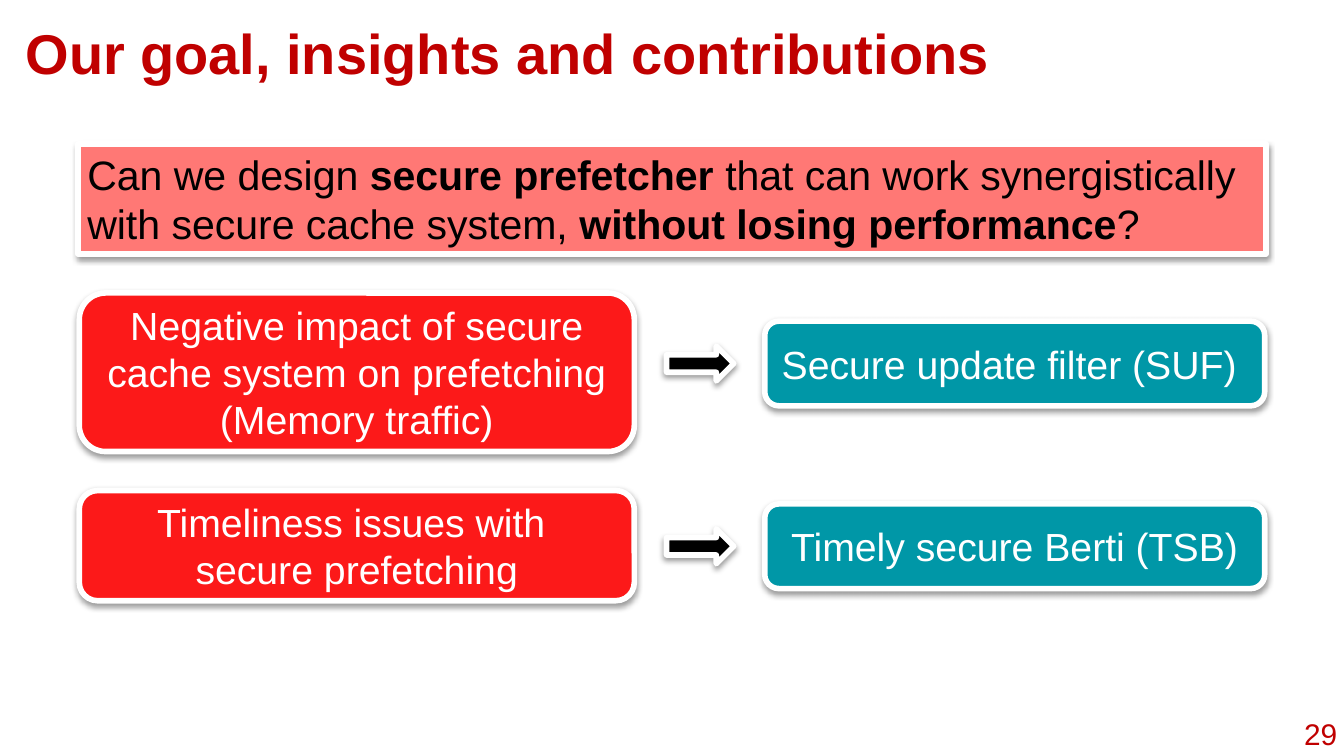
"""Build the slide on the goal, insights and contributions of secure prefetching."""
from pptx import Presentation
from pptx.dml.color import RGBColor
from pptx.enum.shapes import MSO_SHAPE as Shape
from pptx.enum.text import MSO_ANCHOR as Anchor, MSO_AUTO_SIZE as AutoSize, PP_ALIGN as Align
from pptx.oxml import parse_xml
from pptx.oxml.ns import nsdecls
from pptx.util import Inches, Pt

DARK_RED = RGBColor(0xC0, 0x00, 0x00)
RED = RGBColor(0xFC, 0x19, 0x19)
PINK = RGBColor(0xFF, 0x78, 0x75)
TEAL = RGBColor(0x00, 0x97, 0xA7)
BLACK = RGBColor(0x00, 0x00, 0x00)
WHITE = RGBColor(0xFF, 0xFF, 0xFF)

TITLE = "Our goal, insights and contributions"
PAGE_NUMBER = "29"
QUESTION = [
    ("Can we design ", False),
    ("secure prefetcher", True),
    (" that can work synergistically with secure cache system, ", False),
    ("without losing performance", True),
    ("?", False),
]
ROWS = [
    {
        "top": 2.18,
        "height": 1.18,
        "insight": "Negative impact of secure cache system on prefetching\n(Memory traffic)",
        "answer_top": 2.39,
        "answer": "Secure update filter (SUF) ",
    },
    {
        "top": 3.65,
        "height": 0.82,
        "insight": "Timeliness issues with \nsecure prefetching",
        "answer_top": 3.75,
        "answer": "Timely secure Berti (TSB)",
    },
]
ANSWER_HEIGHT = 0.63
ARROW_HEIGHT = 0.26

SHADOW = (
    f'<a:effectLst {nsdecls("a")}><a:outerShdw blurRad="{Pt(3.1)}" dist="{Pt(1.6)}" '
    'dir="5400000" rotWithShape="0"><a:srgbClr val="000000"><a:alpha val="38000"/>'
    "</a:srgbClr></a:outerShdw></a:effectLst>"
)


def set_frame(frame, anchor, vertical_inset):
    frame.word_wrap = True
    frame.auto_size = AutoSize.NONE
    frame.vertical_anchor = anchor
    frame.margin_left = frame.margin_right = Inches(0.07)
    frame.margin_top = frame.margin_bottom = Inches(vertical_inset)


def style_text(frame, size, color, align):
    for para in frame.paragraphs:
        para.alignment = align
        for span in para.runs:
            span.font.name = "Arial"
            span.font.size = Pt(size)
            span.font.color.rgb = color


def add_block(page, kind, left, top, width, height, fill):
    block = page.shapes.add_shape(kind, Inches(left), Inches(top), Inches(width), Inches(height))
    block.fill.solid()
    block.fill.fore_color.rgb = fill
    block.line.color.rgb = WHITE
    block.line.width = Pt(3)
    block.shadow.inherit = False
    properties = block.element.spPr
    properties.replace(properties.find("{*}effectLst"), parse_xml(SHADOW))
    set_frame(block.text_frame, Anchor.MIDDLE, 0.04)
    return block


def add_card(page, left, top, width, height, fill, text):
    card = add_block(page, Shape.ROUNDED_RECTANGLE, left, top, width, height, fill)
    card.text_frame.text = text
    style_text(card.text_frame, 21, WHITE, Align.CENTER)


def main():
    deck = Presentation()
    deck.slide_width = Inches(10)
    deck.slide_height = deck.slide_width * 9 // 16
    page = deck.slides.add_slide(deck.slide_layouts[5])

    title = page.shapes.title
    title.left, title.top = Inches(0.12), Inches(0.07)
    title.width, title.height = Inches(9.32), Inches(0.63)
    set_frame(title.text_frame, Anchor.TOP, 0.07)
    title.text_frame.text = TITLE
    style_text(title.text_frame, 30, DARK_RED, Align.LEFT)
    title.text_frame.paragraphs[0].runs[0].font.bold = True

    number = page.shapes.add_textbox(Inches(9.49), Inches(5.3), Inches(0.53), Inches(0.32))
    set_frame(number.text_frame, Anchor.MIDDLE, 0.07)
    number.text_frame.text = PAGE_NUMBER
    style_text(number.text_frame, 16, DARK_RED, Align.RIGHT)

    banner = add_block(page, Shape.RECTANGLE, 0.58, 1.07, 8.84, 0.82, PINK)
    banner.text_frame.vertical_anchor = Anchor.TOP
    for text, bold in QUESTION:
        span = banner.text_frame.paragraphs[0].add_run()
        span.text = text
        span.font.bold = bold
    style_text(banner.text_frame, 22, BLACK, Align.LEFT)

    for row in ROWS:
        add_card(page, 0.59, row["top"], 4.13, row["height"], RED, row["insight"])
        add_card(page, 5.69, row["answer_top"], 3.72, ANSWER_HEIGHT, TEAL, row["answer"])
        arrow_top = row["answer_top"] + (ANSWER_HEIGHT - ARROW_HEIGHT) / 2
        add_block(page, Shape.RIGHT_ARROW, 4.96, arrow_top, 0.5, ARROW_HEIGHT, BLACK)

    deck.save("out.pptx")


if __name__ == "__main__":
    main()
